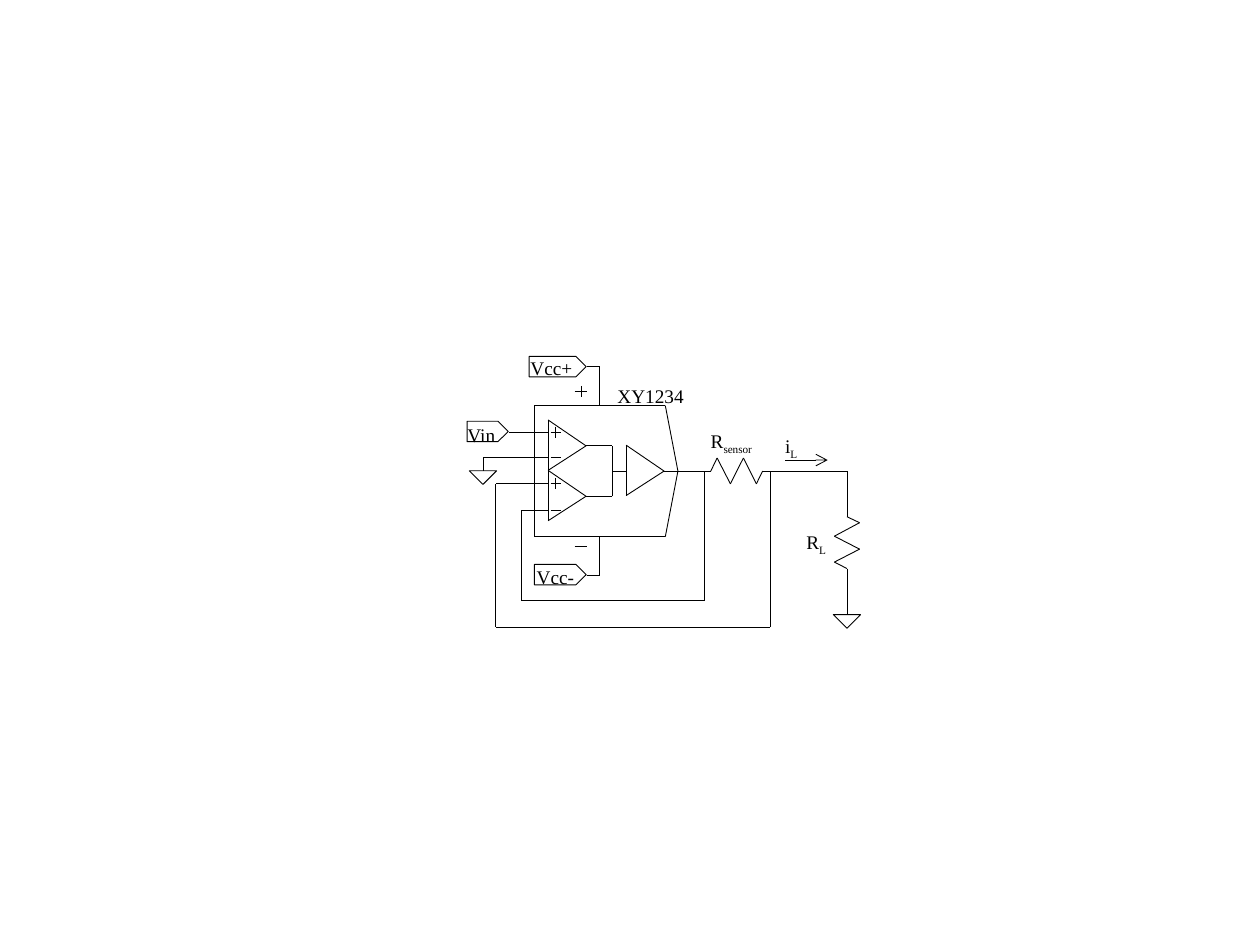
import pptx
import pptx.dml.color
import pptx.enum.shapes
import pptx.enum.text
import pptx.util
import lxml.etree
from itertools import pairwise

Pt = pptx.util.Pt
A = "{http://schemas.openxmlformats.org/drawingml/2006/main}"
COLORS = {"ink": "000000"}
INK = pptx.dml.color.RGBColor.from_string(COLORS["ink"])
LINE_WIDTH = Pt(0.5)

prs = pptx.Presentation()
prs.slide_width, prs.slide_height = Pt(720), Pt(540)
s = prs.slides.add_slide(prs.slide_layouts[6])


def add_text(text, x, y, w, h, sub="", size=11, font="Times New Roman"):
    """Add a label, with an optional subscript after the text."""
    tf = s.shapes.add_textbox(Pt(x), Pt(y), Pt(w), Pt(h)).text_frame
    tf.margin_left = tf.margin_right = tf.margin_top = tf.margin_bottom = 0
    tf.word_wrap = False
    tf.auto_size = pptx.enum.text.MSO_AUTO_SIZE.SHAPE_TO_FIT_TEXT
    p = tf.paragraphs[0]
    for part, baseline in ((text, None), (sub, "-25000")):
        if part:
            r = p.add_run()
            r.text = part
            r.font.size, r.font.name = Pt(size), font
            r.font.color.rgb = INK
            if baseline:
                r._r.get_or_add_rPr().set("baseline", baseline)


def add_wire(*points):
    """Join consecutive points with straight lines and return the last one."""
    for (x1, y1), (x2, y2) in pairwise(points):
        c = s.shapes.add_connector(pptx.enum.shapes.MSO_CONNECTOR.STRAIGHT,
                                   Pt(x1), Pt(y1), Pt(x2), Pt(y2))
        c.line.color.rgb = INK
        c.line.width = LINE_WIDTH
        lxml.etree.SubElement(c._element.spPr, A + "effectLst")
    return c


# Shared circuit positions
body_left, body_right, body_top, body_bottom = 305.3, 380.2, 231.8, 306.7
supply_x, output_x, output_y = 342.7, 387.4, 269.2
amp_left, join_x = 313.2, 350
feedback_x, sense_x, load_x = 402.5, 440, 484
plus_in, ground_in, plus_feedback, minus_feedback = 247, 261.5, 276.5, 291.6

# Amplifier body
add_wire((body_left, body_top), (body_right, body_top), (output_x, output_y),
         (body_right, body_bottom), (body_left, body_bottom), (body_left, body_top))

# Amplifier triangles: left, top
for x, y in ((amp_left, 240), (amp_left, 268.8), (357.8, 254.4)):
    add_wire((x, y), (x + 21.7, y + 14.8), (x, y + 28.8), (x, y))

# Inner wiring
add_wire((334.9, 254.8), (join_x, 254.8), (join_x, 283.6), (334.9, 283.6))
add_wire((join_x, output_y), (357.8, output_y))
add_wire((379.5, output_y), (output_x, output_y), (feedback_x, output_y))

# Input pins
for y in (plus_in, ground_in, plus_feedback, minus_feedback):
    add_wire((amp_left, y), (body_left, y))

# Polarity marks: center x, center y, half length, is plus
for x, y, half, plus in ((417.6 - 100.1, plus_in, 2.9, True),
                         (317.5, ground_in, 2.9, False),
                         (317.5, plus_feedback, 2.9, True),
                         (317.5, minus_feedback, 2.9, False),
                         (332, 223.7, 3.6, True),
                         (332, 312.3, 3.6, False)):
    add_wire((x - half, y), (x + half, y))
    if plus:
        add_wire((x, y - 3.2), (x, y + 3.2))

# Supplies, inputs and feedback loops
add_wire((335.2, 209.4), (supply_x, 209.4), (supply_x, 216.7), (supply_x, body_top))
add_wire((335.2, 328.8), (supply_x, 328.8), (supply_x, 321.2), (supply_x, body_bottom))
add_wire((body_left, plus_in), (290.6, plus_in))
add_wire((body_left, ground_in), (276, ground_in), (276, 269))
add_wire((body_left, plus_feedback), (283.3, plus_feedback), (283.3, 358.4),
         (sense_x, 358.4), (sense_x, output_y))
add_wire((body_left, minus_feedback), (298.2, minus_feedback), (298.2, 343.3),
         (feedback_x, 343.3), (feedback_x, output_y))

# Sensor and load resistors
add_wire((feedback_x, output_y), (406.2, output_y), (409.8, 261.7), (417.4, 276.5),
         (424.8, 261.7), (432.2, 276.5), (435.8, output_y), (sense_x, output_y),
         (load_x, output_y))
add_wire((load_x, output_y), (load_x, 291.6), (load_x, 295.3), (491.2, 298.7),
         (476.8, 306.4), (491.2, 313.8), (476.8, 321.2), (load_x, 324.9),
         (load_x, 328.8), (load_x, 351.2))

# Grounds and terminal tags
outlines = [[(x, y), (x + 15.6, y), (x + 7.8, y + 7.8)]
            for x, y in ((268.2, 269), (476.2, 351.2))]
for left, tip, top in ((266.9, 290.4, 240.7), (302.4, 335, 203.6), (305.4, 335, 322.5)):
    outlines.append([(tip, top + 5.9), (tip - 5.9, top), (left, top),
                     (left, top + 11.7), (tip - 5.9, top + 11.7)])
for points in outlines:
    emu = [(Pt(x), Pt(y)) for x, y in points]
    builder = s.shapes.build_freeform(*emu[0], scale=1.0)
    builder.add_line_segments(emu[1:], close=True)
    sp = builder.convert_to_shape()
    sp.shadow.inherit = False
    sp.fill.background()
    sp.line.color.rgb = INK
    sp.line.width = LINE_WIDTH

# Load current arrow
arrow = add_wire((448.6, 262.9), (473, 262.9))
lxml.etree.SubElement(arrow.line._get_or_add_ln(), A + "tailEnd", type="arrow")

# Labels
add_text("XY1234", 352.8, 219.6, 47.5, 16.6)
add_text("Vin", 267.1, 241.9, 22.3, 16.6)
add_text("Vcc+", 303.1, 203.8, 31, 16.6)
add_text("Vcc-", 306.7, 323.3, 28.1, 16.6)
add_text("R", 406.1, 245.5, 26.6, 13.7, sub="sensor")
add_text("R", 460.8, 303.1, 12.2, 13.7, sub="L")
add_text("i", 448.6, 248.4, 7.9, 13.7, sub="L")

prs.save("out.pptx")
